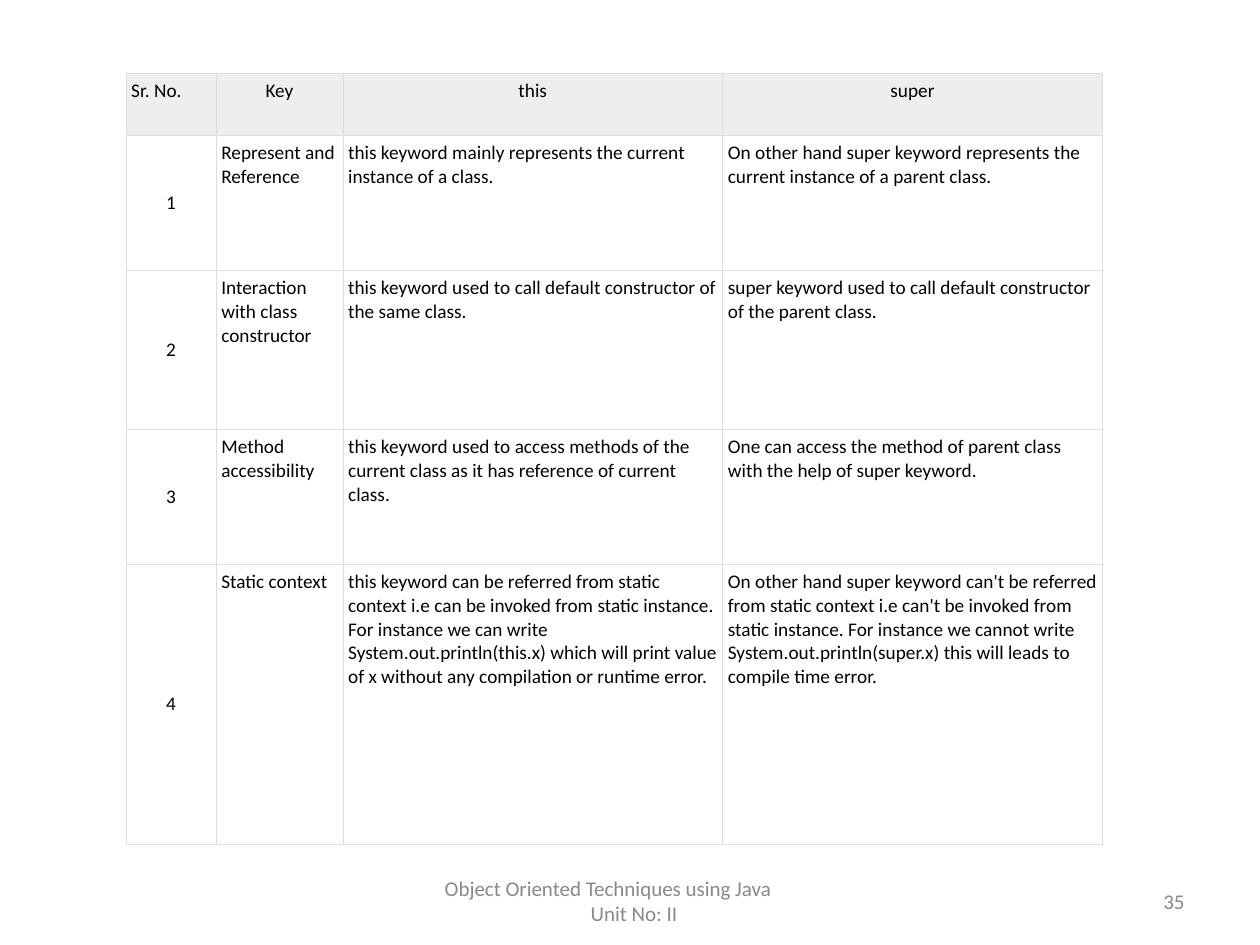
from lxml.etree import SubElement
from pptx import Presentation
from pptx.dml.color import RGBColor
from pptx.enum.text import MSO_ANCHOR, PP_ALIGN
from pptx.oxml.ns import qn
from pptx.util import Pt

HEADERS = ["Sr. No.", "Key", "this", "super"]
COMPARISONS = [
    ("Represent and Reference",
     "this keyword mainly represents the current instance of a class.",
     "On other hand super keyword represents the current instance of a parent class."),
    ("Interaction with class constructor",
     "this keyword used to call default constructor of the same class.",
     "super keyword used to call default constructor of the parent class."),
    ("Method accessibility",
     "this keyword used to access methods of the current class as it has "
     "reference of current class.",
     "One can access the method of parent class with the help of super keyword."),
    ("Static context",
     "this keyword can be referred from static context i.e can be invoked from "
     "static instance. For instance we can write System.out.println(this.x) which "
     "will print value of x without any compilation or runtime error.",
     "On other hand super keyword can't be referred from static context i.e can't "
     "be invoked from static instance. For instance we cannot write "
     "System.out.println(super.x) this will leads to compile time error."),
]
# Footer lines: text, left indent, right indent
COURSE_LINES = [("Object Oriented Techniques using Java", 0, 25), ("Unit No: II", 4.5, 0)]
PAGE_LINES = [("35", 0, 0)]

COLUMN_WIDTHS = [51.5, 72.5, 217, 217]
ROW_HEIGHTS = [35.4, 77.1, 90.9, 77.1, 160]
TABLE_LEFT, TABLE_TOP = 72, 41.8
FOOTER_TOP, FOOTER_HEIGHT = 500.5, 28.75

FONT = "Calibri"
BLACK = RGBColor(0x00, 0x00, 0x00)
GRAY = RGBColor(0x89, 0x89, 0x89)
HEADER_FILL = RGBColor(0xEE, 0xEE, 0xEE)
BORDER = RGBColor(0xDD, 0xDD, 0xDD)


def style_paragraph(paragraph, size, color, align):
    paragraph.alignment = align
    paragraph.font.name = FONT
    paragraph.font.size = Pt(size)
    paragraph.font.color.rgb = color


def add_borders(cell):
    properties = cell._tc.get_or_add_tcPr()
    for position, side in enumerate(("a:lnL", "a:lnR", "a:lnT", "a:lnB")):
        line = properties.makeelement(qn(side), {"w": str(Pt(0.34))})
        fill = SubElement(line, qn("a:solidFill"))
        SubElement(fill, qn("a:srgbClr"), val=str(BORDER))
        properties.insert(position, line)


def fill_cell(cell, text, row, column):
    is_header = row == 0
    cell.text = text
    cell.margin_left = cell.margin_right = Pt(3)
    cell.margin_top = cell.margin_bottom = Pt(3.6)
    is_number = column == 0 and not is_header
    cell.vertical_anchor = MSO_ANCHOR.MIDDLE if is_number else MSO_ANCHOR.TOP
    centered = is_header != (column == 0)
    style_paragraph(cell.text_frame.paragraphs[0], 11, BLACK,
                    PP_ALIGN.CENTER if centered else PP_ALIGN.LEFT)
    if is_header:
        cell.fill.solid()
        cell.fill.fore_color.rgb = HEADER_FILL
    else:
        cell.fill.background()
    add_borders(cell)


def add_footer(slide, left, width, lines, align):
    footer = slide.shapes.add_textbox(Pt(left), Pt(FOOTER_TOP), Pt(width), Pt(FOOTER_HEIGHT))
    frame = footer.text_frame
    frame.word_wrap = True
    frame.vertical_anchor = MSO_ANCHOR.MIDDLE
    frame.text = "\n".join(text for text, _, _ in lines)
    for paragraph, (_, indent_left, indent_right) in zip(frame.paragraphs, lines):
        properties = paragraph._p.get_or_add_pPr()
        properties.set("marL", str(Pt(indent_left)))
        properties.set("marR", str(Pt(indent_right)))
        style_paragraph(paragraph, 12, GRAY, align)


def main():
    deck = Presentation()
    deck.slide_width, deck.slide_height = Pt(720), Pt(540)
    slide = deck.slides.add_slide(deck.slide_layouts[6])

    # Comparison table
    rows = [HEADERS] + [(str(n), *entry) for n, entry in enumerate(COMPARISONS, 1)]
    table = slide.shapes.add_table(
        len(rows), len(HEADERS), Pt(TABLE_LEFT), Pt(TABLE_TOP),
        Pt(sum(COLUMN_WIDTHS)), Pt(sum(ROW_HEIGHTS))).table
    table.first_row = table.horz_banding = False
    for column, width in zip(table.columns, COLUMN_WIDTHS):
        column.width = Pt(width)
    for r, (texts, height) in enumerate(zip(rows, ROW_HEIGHTS)):
        table.rows[r].height = Pt(height)
        for c, text in enumerate(texts):
            fill_cell(table.cell(r, c), text, r, c)

    # Course name and page number
    add_footer(slide, 246, 228, COURSE_LINES, PP_ALIGN.CENTER)
    add_footer(slide, 516, 168, PAGE_LINES, PP_ALIGN.RIGHT)

    deck.save("out.pptx")


if __name__ == "__main__":
    main()
